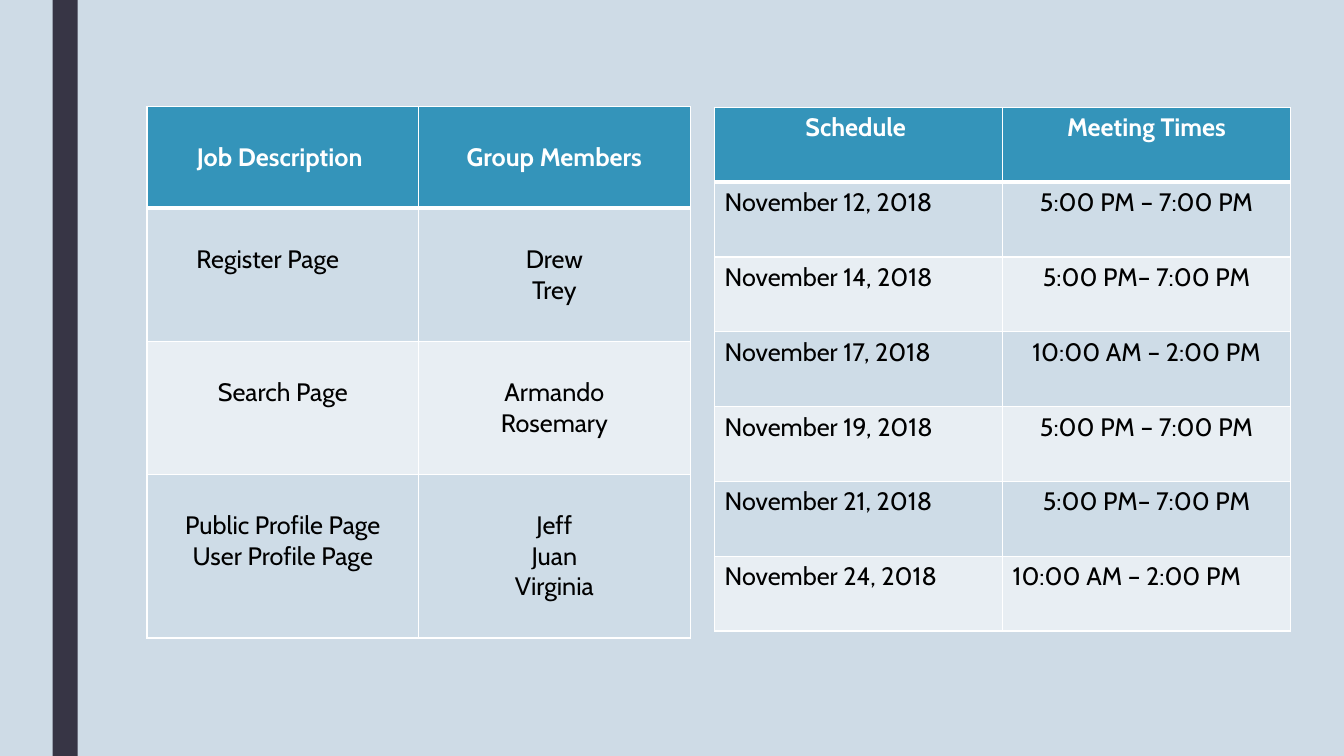
from dataclasses import dataclass

from lxml import etree
from pptx import Presentation
from pptx.dml.color import RGBColor
from pptx.enum import shapes, text
from pptx.oxml import ns
from pptx.util import Pt

LEFT, CENTER = text.PP_ALIGN.LEFT, text.PP_ALIGN.CENTER


@dataclass(frozen=True)
class Theme:
    background: str = "CEDBE6"
    stripe: str = "373545"
    header: str = "3494BA"
    bands: tuple = ("CEDCE7", "E8EEF3")
    border: str = "FFFFFF"
    header_text: str = "FFFFFF"
    body_text: str = "000000"
    font: str = "Cabin"
    size: int = 18


@dataclass(frozen=True)
class Entry:
    """Cell text with its alignment and extra side indents in points."""
    text: str
    align: int = CENTER
    indent_left: float = 0
    indent_right: float = 0


THEME = Theme()

JOBS = [
    (Entry("Job Description", LEFT, indent_left=28.5), Entry("Group Members")),
    (Entry("Register Page", indent_right=21.5), Entry("Drew\nTrey")),
    (Entry("Search Page"), Entry("Armando\nRosemary")),
    (Entry("Public Profile Page\nUser Profile Page"), Entry("Jeff\nJuan\nVirginia")),
]

MEETINGS = [
    (Entry("Schedule", indent_right=4), Entry("Meeting Times")),
    (Entry("November 12, 2018", LEFT), Entry("5:00 PM – 7:00 PM")),
    (Entry("November 14, 2018", LEFT), Entry("5:00 PM– 7:00 PM")),
    (Entry("November 17, 2018", LEFT), Entry("10:00 AM – 2:00 PM")),
    (Entry("November 19, 2018", LEFT), Entry("5:00 PM – 7:00 PM")),
    (Entry("November 21, 2018", LEFT), Entry("5:00 PM– 7:00 PM")),
    (Entry("November 24, 2018", LEFT), Entry("10:00 AM – 2:00 PM", LEFT)),
]


def paint(fill, color):
    fill.solid()
    fill.fore_color.rgb = RGBColor.from_string(color)


def add_stripe(slide, left, width, height):
    stripe = slide.shapes.add_shape(
        shapes.MSO_SHAPE.RECTANGLE, Pt(left), 0, Pt(width), height)
    stripe.shadow.inherit = False
    paint(stripe.fill, THEME.stripe)
    stripe.line.fill.background()


def set_borders(cell, row):
    """Draw thin borders, with a thick rule between header and body."""
    widths = {"L": 1, "R": 1, "T": 3 if row == 1 else 1, "B": 3 if row == 0 else 1}
    properties = cell._tc.get_or_add_tcPr()
    for side, width in widths.items():
        line = etree.SubElement(properties, ns.qn(f"a:ln{side}"), w=str(Pt(width)))
        fill = etree.SubElement(line, ns.qn("a:solidFill"))
        etree.SubElement(fill, ns.qn("a:srgbClr"), val=THEME.border)


def fill_cell(cell, entry, row, margin_top):
    is_header = row == 0
    set_borders(cell, row)
    paint(cell.fill, THEME.header if is_header else THEME.bands[(row - 1) % 2])
    cell.margin_left = Pt(7.2 + entry.indent_left)
    cell.margin_right = Pt(7.2 + entry.indent_right)
    cell.margin_top = Pt(margin_top)
    cell.text = entry.text
    color = THEME.header_text if is_header else THEME.body_text
    for paragraph in cell.text_frame.paragraphs:
        paragraph.alignment = entry.align
        paragraph.font.name = THEME.font
        paragraph.font.size = Pt(THEME.size)
        paragraph.font.bold = is_header
        paragraph.font.color.rgb = RGBColor.from_string(color)


def add_banded_table(slide, rows, left, top, column_width, row_heights, margin_top=3.6):
    column_count = len(rows[0])
    table = slide.shapes.add_table(
        len(rows), column_count, Pt(left), Pt(top),
        Pt(column_width * column_count), Pt(sum(row_heights))).table
    for column in table.columns:
        column.width = Pt(column_width)
    for row, (entries, height) in enumerate(zip(rows, row_heights)):
        table.rows[row].height = Pt(height)
        for column, entry in enumerate(entries):
            fill_cell(table.cell(row, column), entry, row, margin_top)


def main():
    presentation = Presentation()
    presentation.slide_width, presentation.slide_height = Pt(960), Pt(540)
    slide = presentation.slides.add_slide(presentation.slide_layouts[6])
    paint(slide.background.fill, THEME.background)
    add_stripe(slide, 37.5, 18, presentation.slide_height)
    add_banded_table(slide, JOBS, 105, 76.3, 194, [72.5, 95, 95, 117], margin_top=25.5)
    add_banded_table(slide, MEETINGS, 510.4, 76.7, 205.7, [53.45] * len(MEETINGS))
    presentation.save("out.pptx")


if __name__ == "__main__":
    main()
